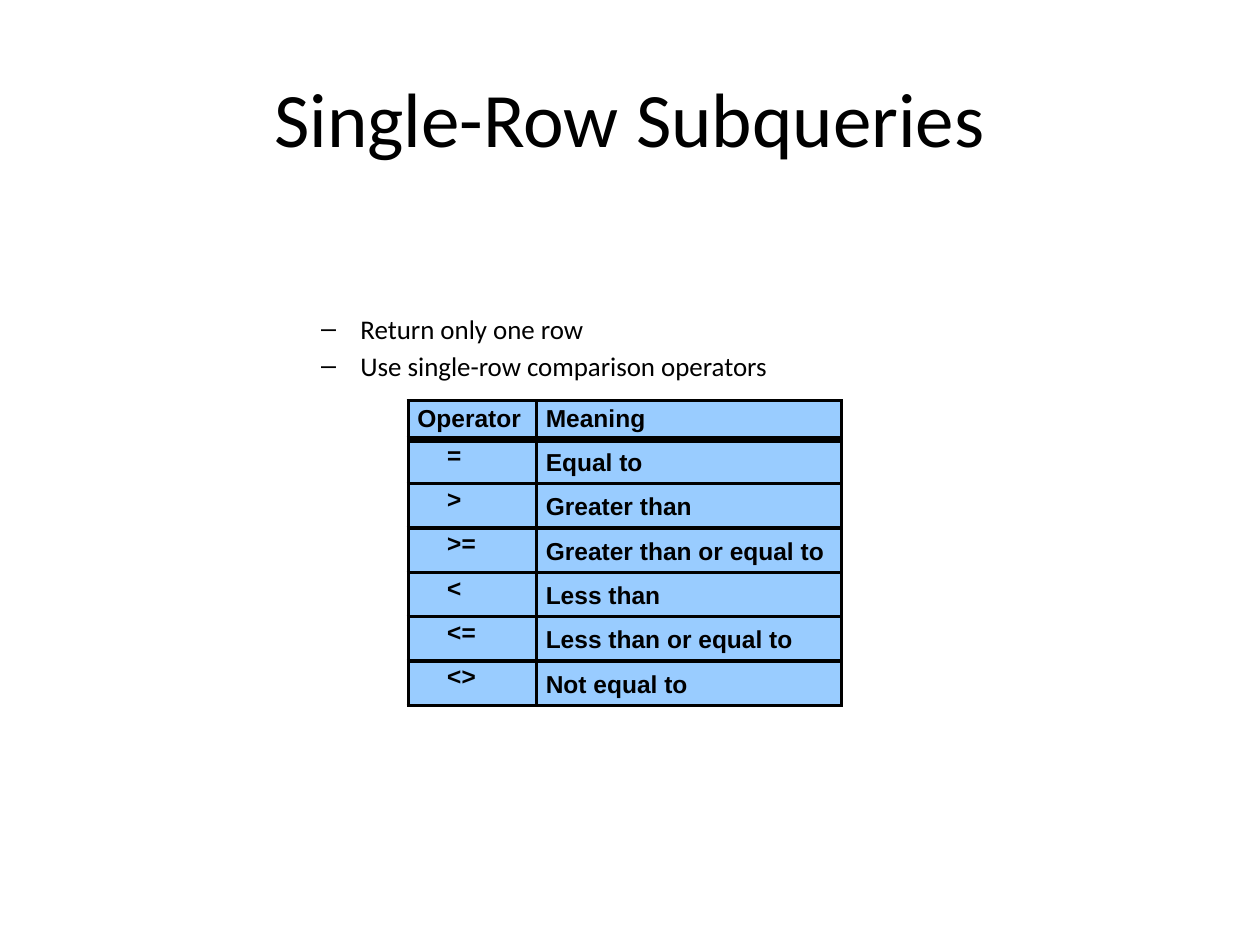
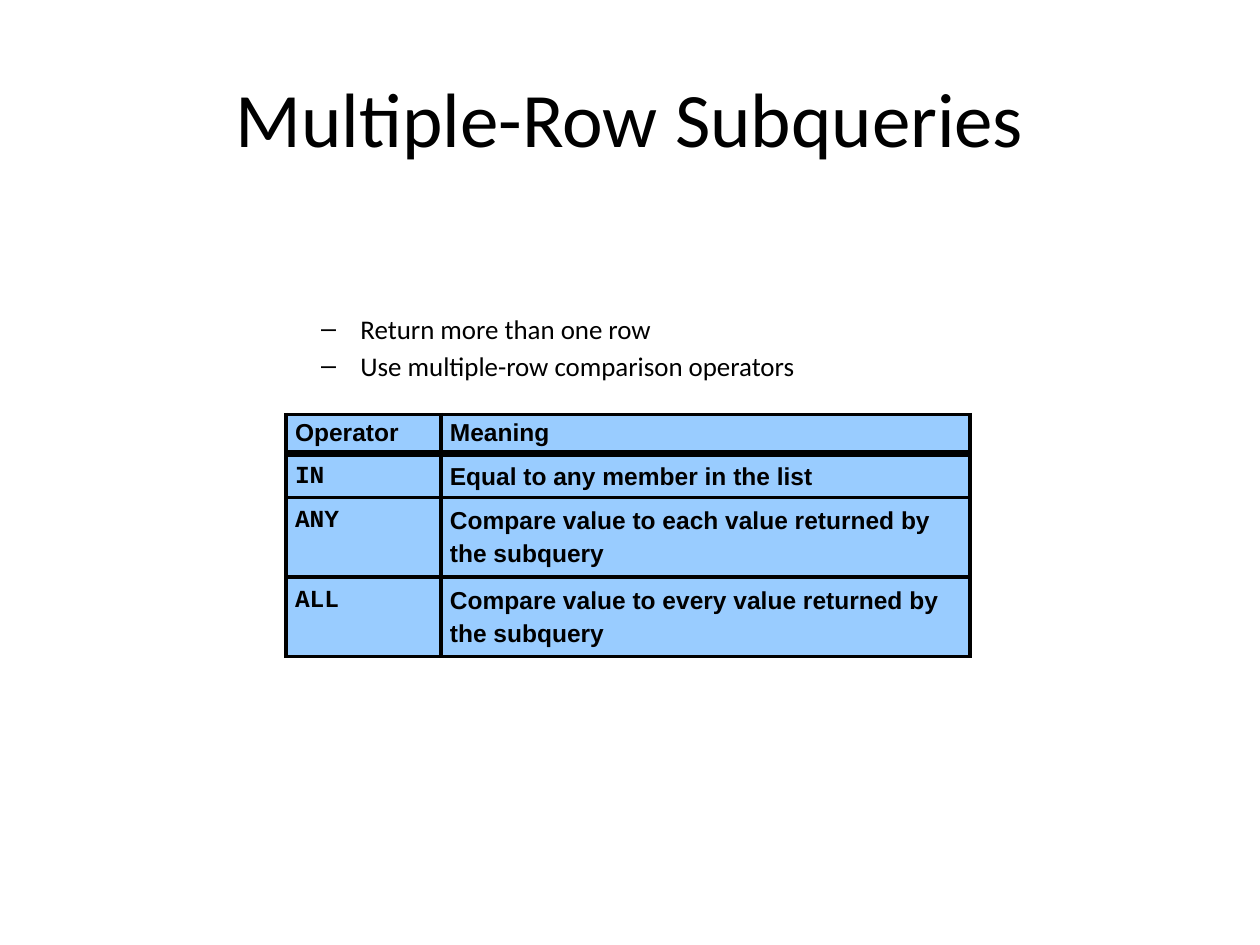
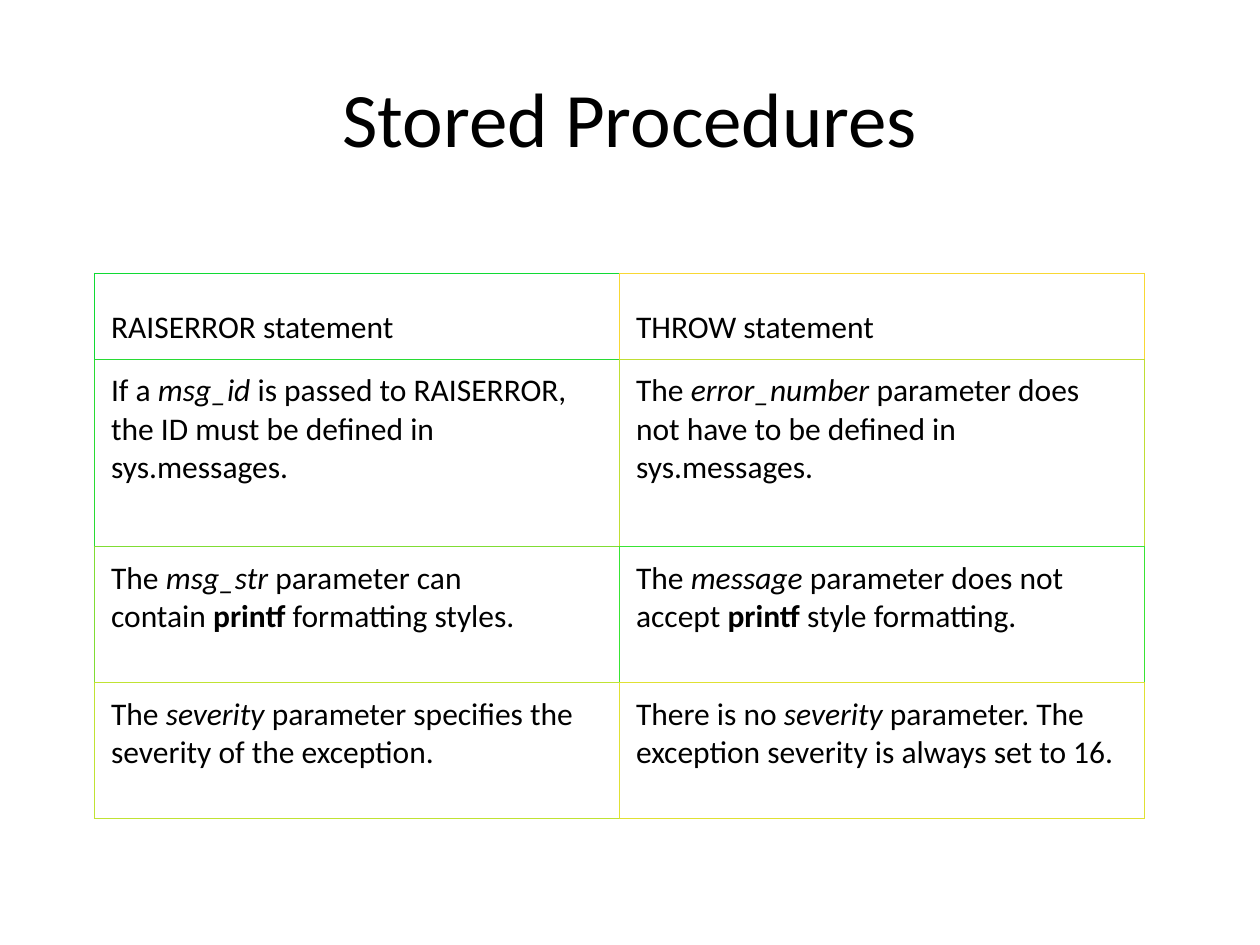
import dataclasses
import typing

import lxml.etree
import pptx
import pptx.dml.color
import pptx.enum.text
import pptx.oxml.ns
import pptx.util

Pt = pptx.util.Pt
ANCHOR = pptx.enum.text.MSO_ANCHOR

COLORS = {
    "ink": "000000",
    "operator_cell": "99CCFF",
    "emerald": "10DA34",
    "gold": "F8D834",
    "green": "28DB34",
    "lime": "C0DE34",
    "leaf": "80DD34",
    "bright_green": "38E434",
    "pale_lime": "C0E334",
    "yellow": "E0E134",
}
BODY_FONT, TABLE_FONT, CODE_FONT = "Calibri", "Arial", "Courier New"


@dataclasses.dataclass(frozen=True)
class Span:
    """A piece of text with its own look."""
    text: str
    font: str = BODY_FONT
    size: float = 18
    bold: bool = False
    italic: bool = False


@dataclasses.dataclass(frozen=True)
class Cell:
    """A table cell: its text, border colour and paragraph settings."""
    spans: list[Span]
    border: str = "ink"
    fill: typing.Optional[str] = None
    anchor: typing.Any = ANCHOR.TOP
    line_spacing: typing.Optional[float] = None
    space_before: float = 0
    indent: float = 0


@dataclasses.dataclass(frozen=True)
class Grid:
    """Place, sizes and rule widths of a table, in points."""
    left: float
    top: float
    columns: list[float]
    rows: list[float]
    margins: tuple[float, float]
    outline: float
    header_rule: float
    row_rule: float


def add_span(paragraph: typing.Any, span: Span) -> None:
    """Add one formatted run to a paragraph."""
    run = paragraph.add_run()
    run.text = span.text
    run.font.name = span.font
    run.font.size = Pt(span.size)
    run.font.bold = span.bold
    run.font.italic = span.italic
    run.font.color.rgb = pptx.dml.color.RGBColor.from_string(COLORS["ink"])


def add_titled_slide(deck: typing.Any, heading: str) -> typing.Any:
    """Add a title-only slide with the shared title style."""
    slide = deck.slides.add_slide(deck.slide_layouts[5])
    title = slide.shapes.title
    title.left, title.top, title.width, title.height = Pt(36), Pt(21.6), Pt(648), Pt(90)
    title.text_frame.vertical_anchor = ANCHOR.MIDDLE
    paragraph = title.text_frame.paragraphs[0]
    paragraph.alignment = pptx.enum.text.PP_ALIGN.CENTER
    add_span(paragraph, Span(heading, size=44))
    return slide


def add_dash_list(slide: typing.Any, points: list[str]) -> None:
    """Add the dashed list that stands above an operator table."""
    frame = slide.shapes.add_textbox(Pt(140.4), Pt(175), Pt(467.3), Pt(44.6)).text_frame
    frame.word_wrap = True
    for index, point in enumerate(points):
        paragraph = frame.add_paragraph() if index else frame.paragraphs[0]
        paragraph.space_before = Pt(2.5)
        add_span(paragraph, Span(point, size=15.4))
        properties = paragraph._p.get_or_add_pPr()
        properties.set("marL", str(Pt(58.5)))
        properties.set("indent", str(Pt(-22.5)))
        for tag, name, setting in (("a:buFont", "typeface", "Arial"), ("a:buChar", "char", "–")):
            bullet = lxml.etree.SubElement(properties, pptx.oxml.ns.qn(tag))
            bullet.set(name, setting)


def add_border(cell: typing.Any, side: str, color: str, width: float) -> None:
    """Draw one side (L, R, T or B) of a table cell."""
    qn = pptx.oxml.ns.qn
    line = lxml.etree.SubElement(cell._tc.get_or_add_tcPr(), qn(f"a:ln{side}"))
    line.set("w", str(Pt(width)))
    paint = lxml.etree.SubElement(line, qn("a:solidFill"))
    lxml.etree.SubElement(paint, qn("a:srgbClr")).set("val", COLORS[color])


def fill_cell(cell: typing.Any, content: Cell, margins: tuple[float, float]) -> None:
    """Set fill, margins and text of a table cell."""
    if content.fill:
        cell.fill.solid()
        cell.fill.fore_color.rgb = pptx.dml.color.RGBColor.from_string(COLORS[content.fill])
    else:
        cell.fill.background()
    cell.margin_left = cell.margin_right = Pt(margins[0])
    cell.margin_top = cell.margin_bottom = Pt(margins[1])
    cell.vertical_anchor = content.anchor
    paragraph = cell.text_frame.paragraphs[0]
    if content.line_spacing:
        paragraph.line_spacing = content.line_spacing
    if content.space_before:
        paragraph.space_before = Pt(content.space_before)
    if content.indent:
        paragraph._p.get_or_add_pPr().set("marL", str(Pt(content.indent)))
    for span in content.spans:
        add_span(paragraph, span)


def add_grid(slide: typing.Any, grid: Grid, contents: list[list[Cell]]) -> None:
    """Add a table; shared edges take the colour of the cell right of or below them."""
    last_row, last_column = len(grid.rows) - 1, len(grid.columns) - 1
    table = slide.shapes.add_table(
        last_row + 1, last_column + 1, Pt(grid.left), Pt(grid.top),
        Pt(sum(grid.columns)), Pt(sum(grid.rows))).table
    table.first_row = table.horz_banding = False
    for column, width in zip(table.columns, grid.columns):
        column.width = Pt(width)
    for row, height in zip(table.rows, grid.rows):
        row.height = Pt(height)
    rules = [grid.outline, grid.header_rule] + [grid.row_rule] * (last_row - 1) + [grid.outline]
    for r, row_contents in enumerate(contents):
        for c, content in enumerate(row_contents):
            cell = table.cell(r, c)
            right = row_contents[min(c + 1, last_column)].border
            below = contents[min(r + 1, last_row)][c].border
            add_border(cell, "L", content.border, grid.outline)
            add_border(cell, "R", right, grid.outline)
            add_border(cell, "T", content.border, rules[r])
            add_border(cell, "B", below, rules[r + 1])
            fill_cell(cell, content, grid.margins)


def operator_cell(text: str, font: str = TABLE_FONT, line_spacing: typing.Optional[float] = 1.2,
                  space_before: float = 8.4, indent: float = 0) -> Cell:
    """Make a blue cell with bold text."""
    return Cell([Span(text, font, 14, bold=True)], fill="operator_cell",
                line_spacing=line_spacing, space_before=space_before, indent=indent)


def add_operator_slide(deck: typing.Any, heading: str, points: list[str],
                       place: tuple[float, float], columns: list[float], rows: list[float],
                       meanings: dict[str, str], symbols: bool) -> None:
    """Add a slide with a dashed list and a table of operators."""
    slide = add_titled_slide(deck, heading)
    add_dash_list(slide, points)
    layout = {"line_spacing": 0.95, "space_before": 4.9, "indent": 16.8} if symbols else {}
    contents = [[operator_cell(label, line_spacing=None, space_before=2.8)
                 for label in ("Operator", "Meaning")]]
    contents += [[operator_cell(operator, CODE_FONT, **layout), operator_cell(meaning)]
                 for operator, meaning in meanings.items()]
    grid = Grid(*place, columns, rows, margins=(5.2, 2.6),
                outline=2.25, header_rule=4.5, row_rule=2.25)
    add_grid(slide, grid, contents)


def statement_cell(border: str, *texts: str) -> Cell:
    """Make a cell; a leading / marks italic text, a leading * bold text."""
    spans = [Span(text.lstrip("/*"), bold=text.startswith("*"), italic=text.startswith("/"))
             for text in texts]
    return Cell(spans, border)


def add_procedures_slide(deck: typing.Any) -> None:
    """Add the comparison of the two error statements."""
    slide = add_titled_slide(deck, "Stored Procedures")
    contents = [
        [Cell([Span("RAISERROR statement")], "emerald", anchor=ANCHOR.BOTTOM),
         Cell([Span("THROW statement")], "gold", anchor=ANCHOR.BOTTOM)],
        [statement_cell("green", "If a\u00a0", "/msg_id",
                        "\u00a0is passed to RAISERROR, the ID must be defined in sys.messages."),
         statement_cell("lime", "The\u00a0", "/error_number",
                        "\u00a0parameter does not have to be defined in sys.messages.")],
        [statement_cell("leaf", "The\u00a0", "/msg_str", "\u00a0parameter can contain\u00a0",
                        "*printf", "\u00a0formatting styles."),
         statement_cell("bright_green", "The\u00a0", "/message",
                        "\u00a0parameter does not accept\u00a0", "*printf",
                        "\u00a0style formatting.")],
        [statement_cell("pale_lime", "The\u00a0", "/severity",
                        "\u00a0parameter specifies the severity of the exception."),
         statement_cell("yellow", "There is no\u00a0", "/severity",
                        "\u00a0parameter. The exception severity is always set to 16.")],
    ]
    grid = Grid(54, 156.3, [300, 300], [49, 107, 77.8, 77.8], margins=(9.5, 7.2),
                outline=1, header_rule=0.6, row_rule=0.6)
    add_grid(slide, grid, contents)


def main() -> None:
    """Build and save the deck."""
    deck = pptx.Presentation()
    deck.slide_width, deck.slide_height = Pt(720), Pt(540)
    add_operator_slide(
        deck, "Single-Row Subqueries",
        ["Return only one row", "Use single-row comparison operators"],
        (233.3, 229), [73.4, 174.3], [21.6] + [23.2] * 6,
        {"=": "Equal to", ">": "Greater than", ">=": "Greater than or equal to",
         "<": "Less than", "<=": "Less than or equal to", "<>": "Not equal to"},
        symbols=True)
    add_operator_slide(
        deck, "Multiple-Row Subqueries",
        ["Return more than one row", "Use multiple-row comparison operators"],
        (163.4, 236.9), [88.5, 302.4], [21.6, 23.8, 42.5, 42.5],
        {"IN": "Equal to any member in the list",
         "ANY": "Compare value to each value returned by the subquery",
         "ALL": "Compare value to every value returned by the subquery"},
        symbols=False)
    add_procedures_slide(deck)
    deck.save("out.pptx")


main()
